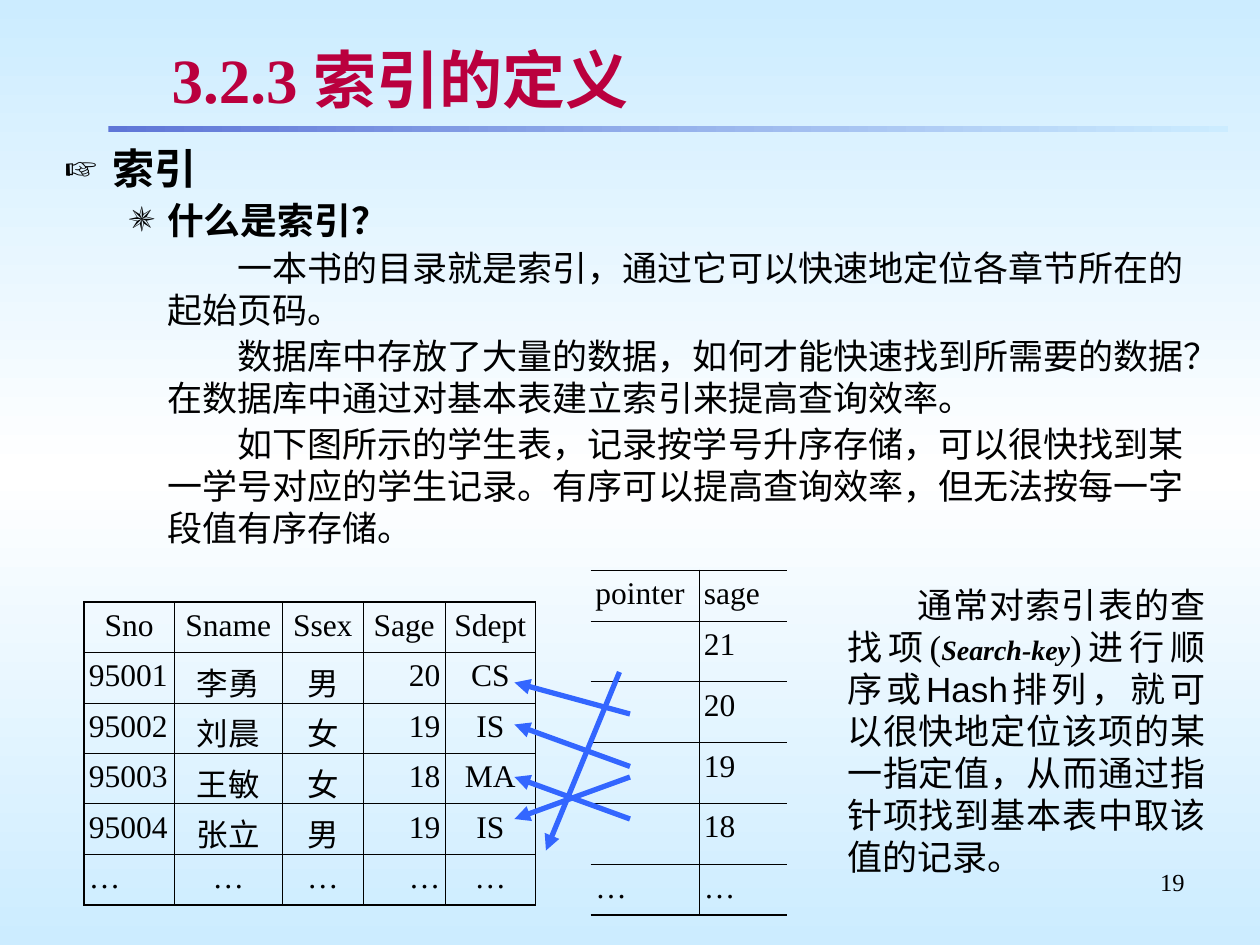
"""Build the slide that defines a database index."""
from copy import deepcopy
from dataclasses import dataclass
from typing import Optional

from lxml import etree
from pptx import Presentation
from pptx.dml.color import RGBColor
from pptx.enum.shapes import MSO_CONNECTOR, MSO_SHAPE
from pptx.enum.text import MSO_ANCHOR, PP_ALIGN
from pptx.oxml import parse_xml
from pptx.oxml.ns import nsdecls, qn
from pptx.util import Pt

LEFT, MID, RIGHT, JUST = PP_ALIGN.LEFT, PP_ALIGN.CENTER, PP_ALIGN.RIGHT, PP_ALIGN.JUSTIFY
TOP, CENTER = MSO_ANCHOR.TOP, MSO_ANCHOR.MIDDLE
LINE, RECT = MSO_CONNECTOR.STRAIGHT, MSO_SHAPE.RECTANGLE
BLACK = RGBColor(0x00, 0x00, 0x00)
WHITE = RGBColor(0xFF, 0xFF, 0xFF)
RED = RGBColor(0xBA, 0x00, 0x3E)
BLUE = RGBColor(0x33, 0x66, 0xFF)
SLATE = RGBColor(0x5F, 0x76, 0xD7)
SKY = RGBColor(0xCC, 0xEC, 0xFF)
SERIF, SANS = "Times New Roman", "Arial"
THIN, THICK = 0.45, 1.08


@dataclass
class Run:
    text: str
    size: float = 20
    bold: bool = False
    slant: bool = False
    face: str = SERIF
    color: RGBColor = BLACK


@dataclass
class Para:
    runs: list[Run]
    align: PP_ALIGN = LEFT
    left: float = 0
    first: float = 0
    above: float = 0
    mark: str = ""


@dataclass
class Grid:
    left: float
    top: float
    cols: list[float]
    rows: list[float]
    cells: list[list[str]]
    align: list[PP_ALIGN]
    side: Optional[float]


@dataclass
class Arrow:
    x: float
    y: float
    end_x: float
    end_y: float


HEAD = [Para([Run("3.2.3 索引的定义", 36, True, color=RED)])]
BODY = [
    Para([Run("索引", 24, True)], left=27, first=-27, mark="☞"),
    Para([Run("什么是索引？", 21, True)], left=58.5, first=-22.5, above=2.6, mark="✵"),
] + [Para([Run(text)], left=58.5, first=40, above=2.5) for text in (
    "一本书的目录就是索引，通过它可以快速地定位各章节所在的起始页码。",
    "数据库中存放了大量的数据，如何才能快速找到所需要的数据？在数据库中通过对基本表建立索引来提高查询效率。",
    "如下图所示的学生表，记录按学号升序存储，可以很快找到某一学号对应的学生记录。有序可以提高查询效率，但无法按每一字段值有序存储。",
)]
NOTE = [Para([
    Run("通常对索引表的查找项("),
    Run("Search-key", 16, True, True),
    Run(")进行"),
    Run("顺序或Hash排列，就可以很快地定位该项的某一指定值，从而通过指针项找到基本表中取该值的记录。", face=SANS),
], JUST, 27, 40)]
PUPILS = Grid(48, 344, [51.5, 62, 46, 47, 51.5], [27.6] * 6, [
    ["Sno", "Sname", "Ssex", "Sage", "Sdept"],
    ["95001", "李勇", "男", "20", "CS"],
    ["95002", "刘晨", "女", "19", "IS"],
    ["95003", "王敏", "女", "18", "MA"],
    ["95004", "张立", "男", "19", "IS"],
    ["…"] * 5,
], [LEFT, MID, MID, RIGHT, MID], THICK)
INDEX = Grid(337.5, 326, [62, 50.5], [27.6] + [34.8] * 4 + [27.6], [
    ["pointer", "sage"], ["", "21"], ["", "20"], ["", "19"], ["", "18"], ["…", "…"],
], [LEFT, LEFT], None)
ARROWS = [
    Arrow(360, 408, 294, 390),
    Arrow(360, 438, 294, 414),
    Arrow(360, 444, 294, 468),
    Arrow(360, 468, 294, 444),
    Arrow(354, 384, 312, 486),
]


def write(frame, paras: list[Para]) -> None:
    for i, item in enumerate(paras):
        para = frame.paragraphs[0] if i == 0 else frame.add_paragraph()
        para.alignment = item.align
        para.space_before = Pt(item.above)
        props = para._p.get_or_add_pPr()
        props.set("marL", str(Pt(item.left)))
        props.set("indent", str(Pt(item.first)))
        if item.mark:
            etree.SubElement(props, qn("a:buSzPct")).set("val", "95000")
            etree.SubElement(props, qn("a:buFont")).set("typeface", SERIF)
            etree.SubElement(props, qn("a:buChar")).set("char", item.mark)
        for part in item.runs:
            run = para.add_run()
            run.text = part.text
            font = run.font
            font.size, font.name = Pt(part.size), part.face
            font.bold, font.italic = part.bold, part.slant
            font.color.rgb = part.color


def add_text(slide, left: float, top: float, width: float, height: float,
             paras: list[Para], anchor: MSO_ANCHOR = TOP):
    box = slide.shapes.add_textbox(Pt(left), Pt(top), Pt(width), Pt(height))
    frame = box.text_frame
    frame.word_wrap = True
    frame.vertical_anchor = anchor
    write(frame, paras)
    return box


def add_edge(cell, tag: str, width: Optional[float]) -> None:
    edge = etree.SubElement(cell._tc.get_or_add_tcPr(), qn(f"a:{tag}"))
    if width is None:
        etree.SubElement(edge, qn("a:noFill"))
        return
    edge.set("w", str(Pt(width)))
    fill = etree.SubElement(edge, qn("a:solidFill"))
    etree.SubElement(fill, qn("a:srgbClr")).set("val", str(BLACK))


def add_grid(slide, grid: Grid) -> None:
    rows, cols = len(grid.rows), len(grid.cols)
    table = slide.shapes.add_table(rows, cols, Pt(grid.left), Pt(grid.top),
                                   Pt(sum(grid.cols)), Pt(sum(grid.rows))).table
    table.first_row = table.horz_banding = False
    for col, width in zip(table.columns, grid.cols):
        col.width = Pt(width)
    for r, (row, height) in enumerate(zip(table.rows, grid.rows)):
        row.height = Pt(height)
        for c, cell in enumerate(row.cells):
            cell.margin_left = cell.margin_right = Pt(2.8)
            add_edge(cell, "lnL", THIN if c else grid.side)
            add_edge(cell, "lnR", THIN if c < cols - 1 else grid.side)
            add_edge(cell, "lnT", THIN if r else THICK)
            add_edge(cell, "lnB", THIN if r < rows - 1 else THICK)
            cell.fill.background()
            align = grid.align[c] if r or grid.side is None else MID
            text = grid.cells[r][c]
            write(cell.text_frame, [Para([Run(text, 18)] if text else [], align)])


def add_arrow(slide, arrow: Arrow) -> None:
    line = slide.shapes.add_connector(LINE, Pt(arrow.x), Pt(arrow.y),
                                      Pt(arrow.end_x), Pt(arrow.end_y))
    line.line.color.rgb, line.line.width = BLUE, Pt(3)
    etree.SubElement(line.line._get_or_add_ln(), qn("a:tailEnd")).set("type", "triangle")
    etree.SubElement(line._element.spPr, qn("a:effectLst"))


def shade(fill, start: RGBColor, end: RGBColor, angle: float) -> None:
    fill.gradient()
    fill.gradient_angle = angle
    for stop, color in zip(fill.gradient_stops, (start, end)):
        stop.color.rgb = color


def paint(slide) -> None:
    shade(slide.background.fill, SKY, SKY, 270)
    stops = slide.element.find(".//" + qn("a:gsLst"))
    mid = deepcopy(stops[0])
    mid.set("pos", "50000")
    mid[0].set("val", str(WHITE))
    stops.insert(1, mid)


def add_glow(box) -> None:
    props = box.text_frame.paragraphs[0].runs[0].font._element
    props.find(qn("a:solidFill")).addnext(parse_xml(
        f'<a:effectLst {nsdecls("a")}><a:outerShdw dist="17961" dir="2700000">'
        '<a:srgbClr val="C0C0C0"/></a:outerShdw></a:effectLst>'))


def main() -> None:
    deck = Presentation()
    deck.slide_width, deck.slide_height = Pt(720), Pt(540)
    slide = deck.slides.add_slide(deck.slide_layouts[6])
    paint(slide)
    bar = slide.shapes.add_shape(RECT, Pt(62), Pt(72), Pt(640), Pt(3.6))
    bar.shadow.inherit = False
    bar.line.fill.background()
    shade(bar.fill, SLATE, SKY, 0)
    add_text(slide, 516, 492, 168, 37.5, [Para([Run("19", 14)], RIGHT)])
    add_glow(add_text(slide, 91, 21, 593, 48, HEAD, CENTER))
    add_text(slide, 30, 78, 666, 264, BODY)
    add_grid(slide, PUPILS)
    add_grid(slide, INDEX)
    for arrow in ARROWS:
        add_arrow(slide, arrow)
    add_text(slide, 450, 330, 246, 186, NOTE)
    deck.save("out.pptx")


if __name__ == "__main__":
    main()
